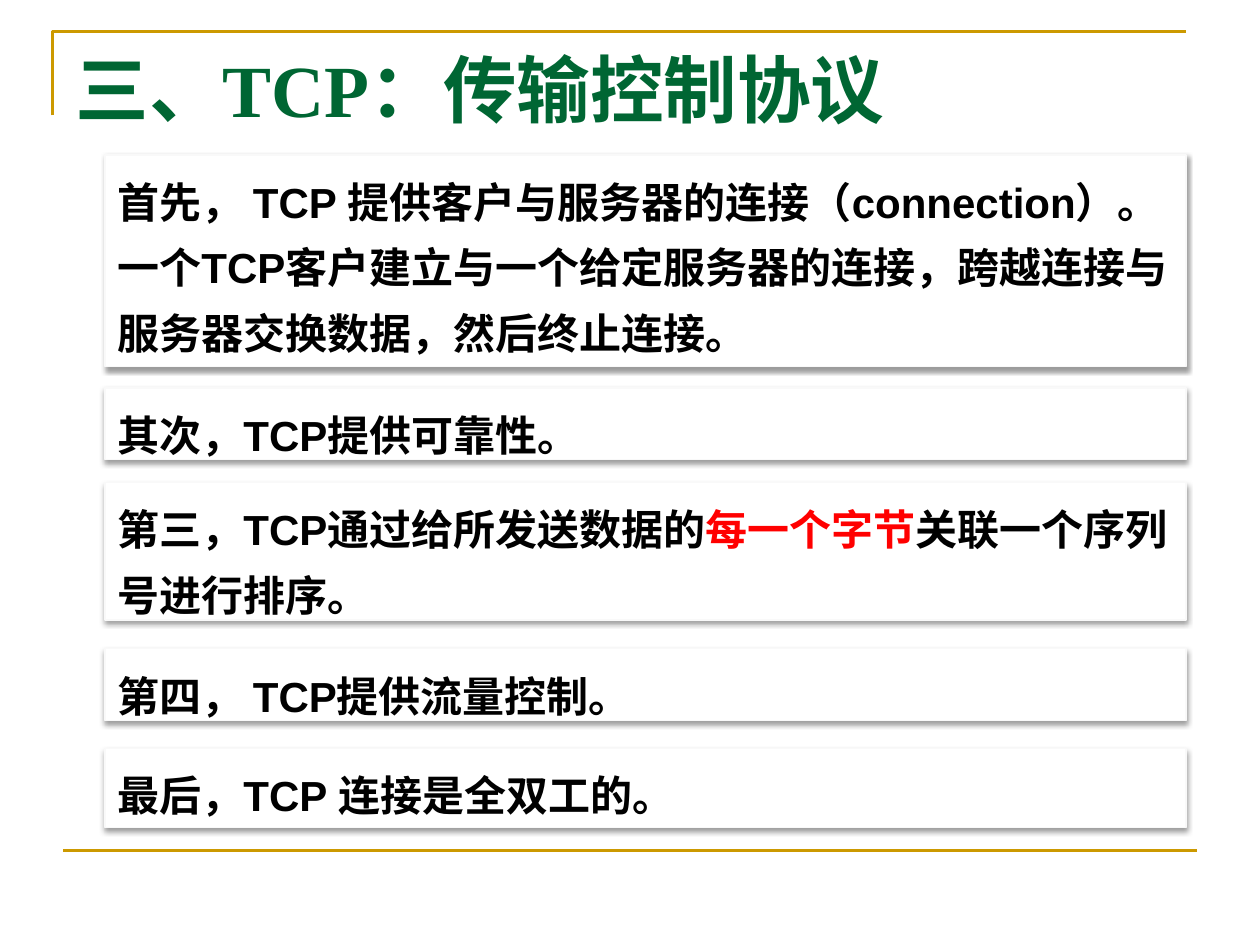
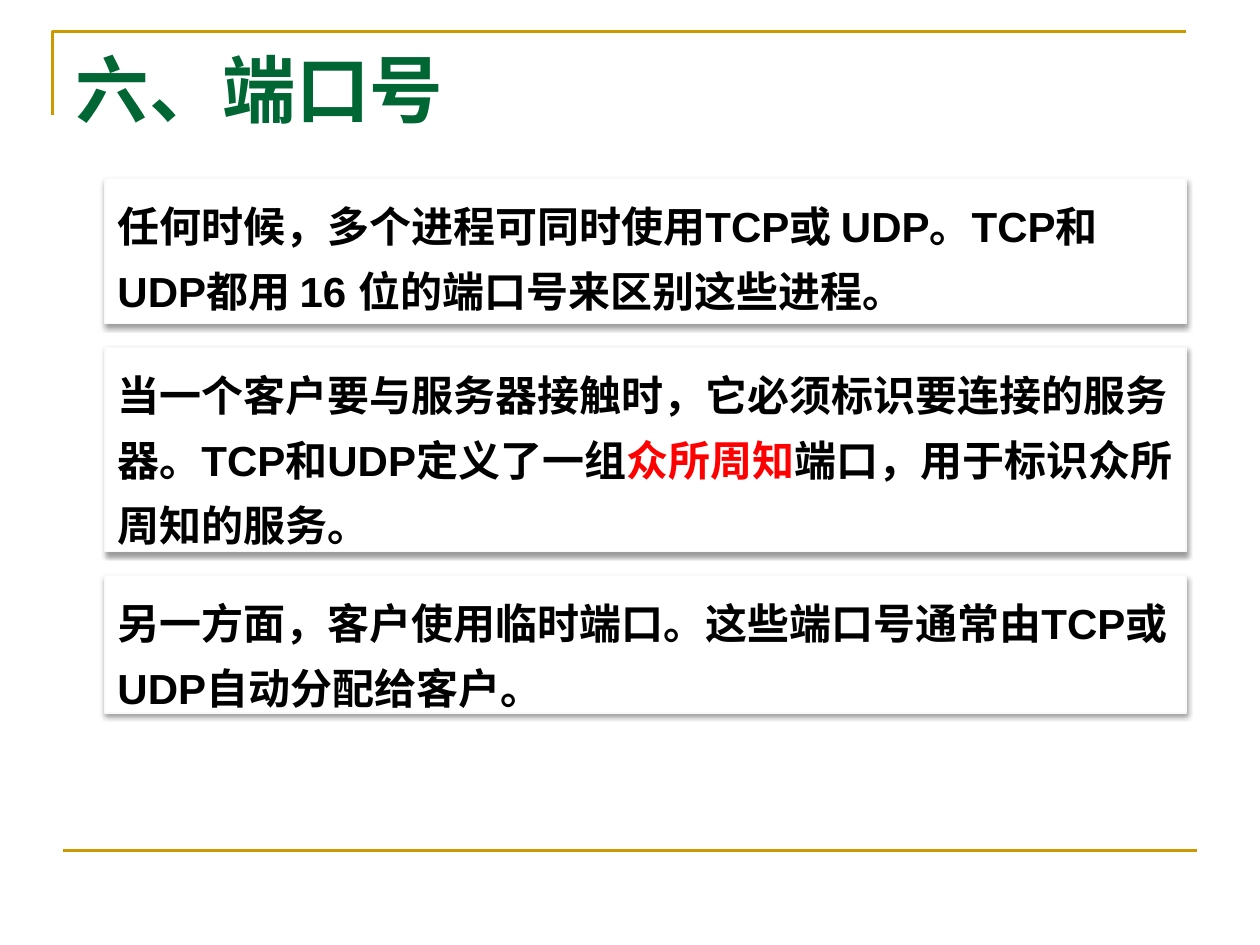
"""Build two slides on TCP and port numbers, each a framed title over shadowed statement panels."""
from lxml.etree import SubElement
from pptx import Presentation
from pptx.dml.color import RGBColor
from pptx.enum.shapes import MSO_CONNECTOR, MSO_SHAPE
from pptx.enum.text import MSO_ANCHOR, MSO_AUTO_SIZE, PP_ALIGN
from pptx.oxml.ns import qn
from pptx.util import Pt

GOLD, GREEN, RED = "CC9900", "006633", "FF0000"
BLACK, WHITE, PANEL_EDGE = "000000", "FFFFFF", "F9F9F9"
PANEL_LEFT, PANEL_WIDTH = Pt(60), Pt(617.8)


def rgb(hex_colour):
    return RGBColor.from_string(hex_colour)


def add_run(paragraph, words, font_name, size, colour):
    run = paragraph.add_run()
    run.text = words
    run.font.name = font_name
    run.font.size = Pt(size)
    run.font.bold = True
    run.font.color.rgb = rgb(colour)


# Each statement is (top, height, plain and emphasised phrases in turn).
TOPICS = [
    ("三、TCP：传输控制协议", [
        (88.5, 121, ["首先， TCP 提供客户与服务器的连接（connection）。一个TCP客户建立与一个给定服务器的连接，"
                     "跨越连接与服务器交换数据，然后终止连接。"]),
        (221.8, 41, ["其次，TCP提供可靠性。"]),
        (275.8, 78.5, ["第三，TCP通过给所发送数据的", "每一个字节", "关联一个序列号进行排序。"]),
        (370.8, 41, ["第四， TCP提供流量控制。"]),
        (427.7, 45.4, ["最后，TCP 连接是全双工的。"]),
    ]),
    ("六、端口号", [
        (102.2, 82.8, ["任何时候，多个进程可同时使用TCP或 UDP。TCP和UDP都用 16 位的端口号来区别这些进程。"]),
        (198.7, 116.6, ["当一个客户要与服务器接触时，它必须标识要连接的服务器。TCP和UDP定义了一组",
                        "众所周知", "端口，用于标识众所周知的服务。"]),
        (329, 78.5, ["另一方面，客户使用临时端口。这些端口号通常由TCP或UDP自动分配给客户。"]),
    ]),
]

deck = Presentation()
deck.slide_width, deck.slide_height = Pt(720), Pt(540)

for heading, statements in TOPICS:
    slide = deck.slides.add_slide(deck.slide_layouts[5])

    outline = slide.shapes.build_freeform(Pt(30), Pt(66))
    outline.add_line_segments([(Pt(30), Pt(18)), (Pt(678), Pt(18))], close=False)
    corner = outline.convert_to_shape()
    corner.fill.background()
    footer_rule = slide.shapes.add_connector(MSO_CONNECTOR.STRAIGHT, Pt(36), Pt(486), Pt(684), Pt(486))
    for rule in (corner, footer_rule):
        rule.line.color.rgb = rgb(GOLD)
        rule.line.width = Pt(1.5)
    corner.shadow.inherit = False
    SubElement(footer_rule.element.spPr, qn("a:effectLst"))

    title = slide.shapes.title
    title.left, title.top, title.width, title.height = Pt(36), Pt(21.6), Pt(596), Pt(90)
    title.text_frame.vertical_anchor = MSO_ANCHOR.TOP
    title.text_frame.auto_size = MSO_AUTO_SIZE.NONE
    title_line = title.text_frame.paragraphs[0]
    title_line.alignment = PP_ALIGN.LEFT
    add_run(title_line, heading, "Times New Roman", 42, GREEN)

    for top, height, phrases in statements:
        panel = slide.shapes.add_shape(MSO_SHAPE.RECTANGLE, PANEL_LEFT, Pt(top), PANEL_WIDTH, Pt(height))
        panel.fill.solid()
        panel.fill.fore_color.rgb = rgb(WHITE)
        panel.line.color.rgb = rgb(PANEL_EDGE)
        panel.line.width = Pt(0.75)
        panel.shadow.inherit = False
        effects = panel.element.spPr.find(qn("a:effectLst"))
        shadow = SubElement(effects, qn("a:outerShdw"), blurRad=str(Pt(3.1)), dist=str(Pt(1.6)),
                            dir="5400000", rotWithShape="0")
        shade = SubElement(shadow, qn("a:srgbClr"), val=BLACK)
        SubElement(shade, qn("a:alpha"), val="38000")

        frame = panel.text_frame
        frame.word_wrap = True
        frame.auto_size = MSO_AUTO_SIZE.SHAPE_TO_FIT_TEXT
        frame.vertical_anchor = MSO_ANCHOR.TOP
        statement = frame.paragraphs[0]
        statement.alignment = PP_ALIGN.LEFT
        statement.line_spacing = 1.3
        for index, phrase in enumerate(phrases):
            add_run(statement, phrase, "Arial", 24, RED if index % 2 else BLACK)

deck.save("out.pptx")
